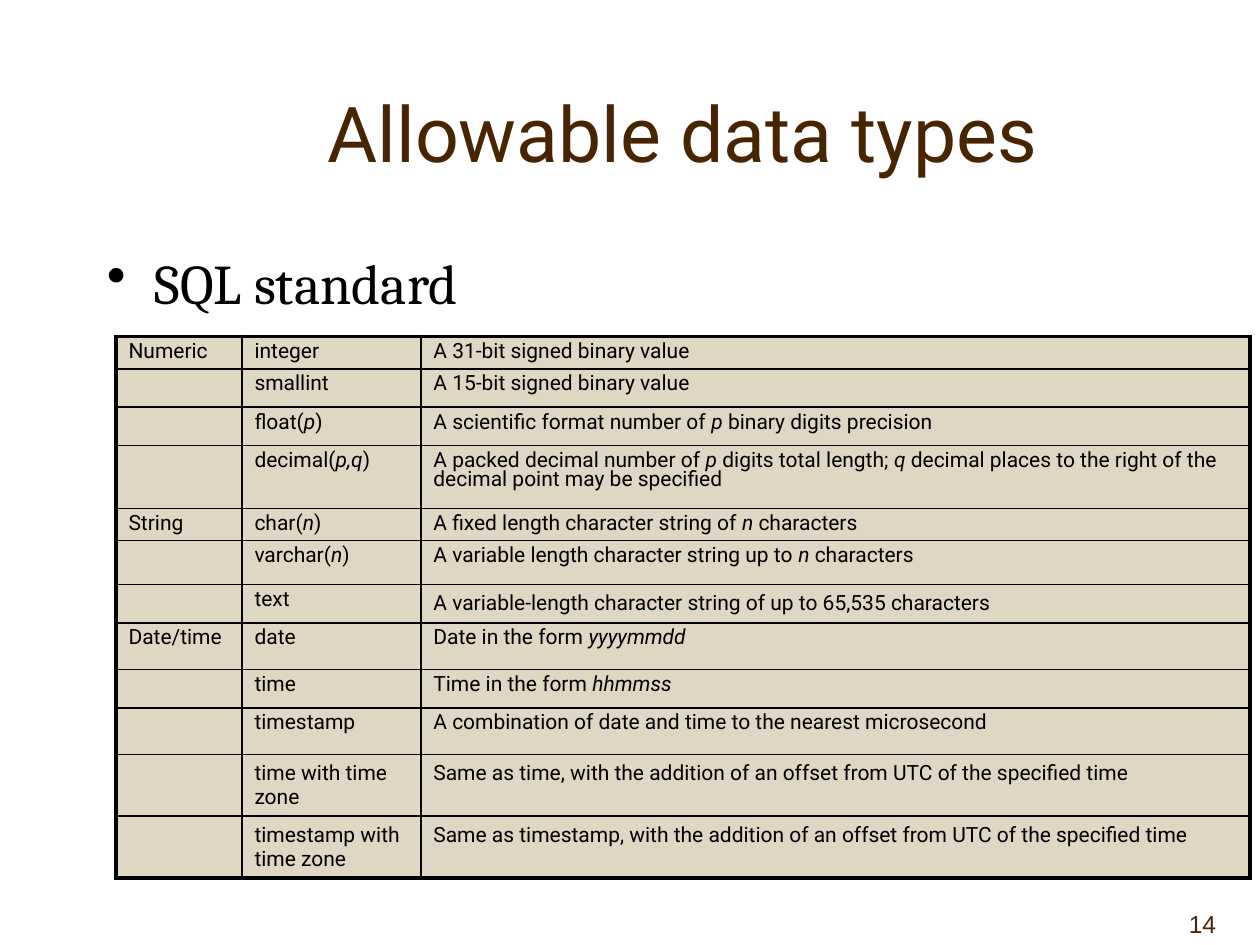
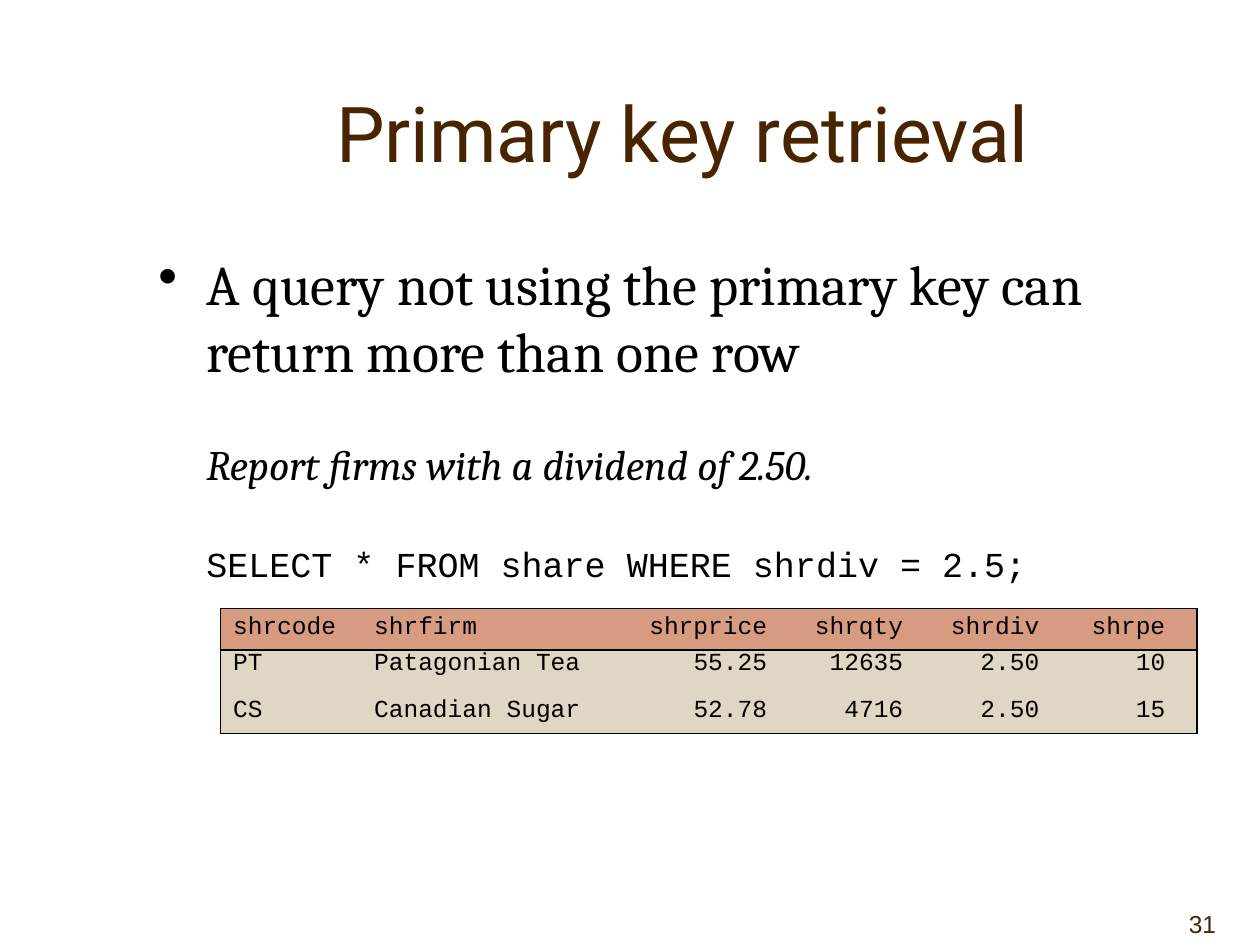
import dataclasses

import lxml.etree
import pptx
import pptx.dml.color
import pptx.enum.text
import pptx.oxml.ns
import pptx.util

Inches = pptx.util.Inches
Pt = pptx.util.Pt
ALIGN = pptx.enum.text.PP_ALIGN
ANCHOR = pptx.enum.text.MSO_ANCHOR
qn = pptx.oxml.ns.qn


@dataclasses.dataclass(frozen=True)
class Theme:
    brown: str = "482400"
    black: str = "000000"
    sand: str = "DFD6C3"
    clay: str = "D69B80"
    heading_font: str = "Roboto"
    body_font: str = "Cambria"
    code_font: str = "Courier New"
    number_font: str = "Arial"
    title_size: int = 44
    body_size: int = 32
    question_size: int = 24
    code_size: int = 20
    small_size: int = 14
    type_size: int = 12
    thin: float = 1
    thick: float = 2.25


THEME = Theme()


def write(para, text, *, size, font, color=THEME.black, align=ALIGN.LEFT,
          line=None, before=None):
    """Fill a paragraph; parts between underscores are italic."""
    para.alignment = align
    if line is not None:
        para.line_spacing = line
    if before is not None:
        para.space_before = Pt(before)
    if not text:
        # An empty paragraph still needs its size, as it sets the row height
        end = lxml.etree.SubElement(para._p, qn("a:endParaRPr"))
        end.set("sz", str(size * 100))
    for index, part in enumerate(text.split("_")):
        if part:
            span = para.add_run()
            span.text = part
            span.font.size = Pt(size)
            span.font.name = font
            span.font.italic = index % 2 == 1
            span.font.color.rgb = pptx.dml.color.RGBColor.from_string(color)


def hang(para, bullet=None):
    """Indent a paragraph, with a hanging bullet if one is given."""
    properties = para._p.get_or_add_pPr()
    indent = Inches(0.38)
    properties.set("marL", str(indent))
    properties.set("indent", str(-indent if bullet else 0))
    if bullet:
        lxml.etree.SubElement(properties, qn("a:buChar")).set("char", bullet)


def set_borders(cell, widths):
    """Draw left, right, top and bottom lines; width 0 means no line."""
    properties = cell._tc.get_or_add_tcPr()
    for side, width in zip("LRTB", widths):
        line = lxml.etree.SubElement(properties, qn(f"a:ln{side}"))
        line.set("w", str(Pt(width)))
        if width:
            fill = lxml.etree.SubElement(line, qn("a:solidFill"))
            lxml.etree.SubElement(fill, qn("a:srgbClr")).set("val", THEME.black)
        else:
            lxml.etree.SubElement(line, qn("a:noFill"))


class SlideBuilder:
    def __init__(self, deck, theme):
        self.deck = deck
        self.theme = theme
        self.page = None

    def new_page(self, title, number):
        """Start a slide with its title and slide number."""
        theme = self.theme
        self.page = self.deck.slides.add_slide(self.deck.slide_layouts[5])
        heading = self.page.shapes.title
        heading.left, heading.top = Inches(1.17), Inches(0.42)
        heading.width, heading.height = Inches(8.5), Inches(1.25)
        frame = heading.text_frame
        frame.auto_size = pptx.enum.text.MSO_AUTO_SIZE.NONE
        frame.vertical_anchor = ANCHOR.MIDDLE
        write(frame.paragraphs[0], title, size=theme.title_size,
              font=theme.heading_font, color=theme.brown, align=ALIGN.CENTER)

        frame = self.text_box(8.5, 7, 1.25, 0.5)
        frame.word_wrap = False
        frame.vertical_anchor = ANCHOR.BOTTOM
        write(frame.paragraphs[0], number, size=theme.small_size,
              font=theme.number_font, color=theme.brown, align=ALIGN.RIGHT)

    def text_box(self, left, top, width, height):
        box = self.page.shapes.add_textbox(
            Inches(left), Inches(top), Inches(width), Inches(height))
        frame = box.text_frame
        frame.word_wrap = True
        frame.auto_size = pptx.enum.text.MSO_AUTO_SIZE.NONE
        return frame

    def body(self, left, top, bullet_text):
        """Add the body with one bullet and return its text frame."""
        frame = self.text_box(left, top, 8.5, 4.33)
        para = frame.paragraphs[0]
        hang(para, "•")
        write(para, bullet_text, size=self.theme.body_size,
              font=self.theme.body_font, before=6.4)
        return frame

    def body_line(self, frame, text, **style):
        """Add an indented line, set well apart from the one above."""
        para = frame.add_paragraph()
        hang(para)
        write(para, text, before=31, **style)

    def table(self, left, top, height, widths, heights, rows, format_cell):
        """Add a table; format_cell(cell, row, column, text) styles each cell."""
        shape = self.page.shapes.add_table(
            len(rows), len(widths), Inches(left), Inches(top),
            Inches(sum(widths)), Inches(height))
        table = shape.table
        table.first_row = table.horz_banding = False
        for column, width in zip(table.columns, widths):
            column.width = Inches(width)
        for row, row_height in zip(table.rows, heights):
            row.height = Inches(row_height)
        shape.height = Inches(height)
        for r, texts in enumerate(rows):
            for c, text in enumerate(texts):
                format_cell(table.cell(r, c), r, c, text)


def fill_cell(cell, color):
    cell.fill.solid()
    cell.fill.fore_color.rgb = pptx.dml.color.RGBColor.from_string(color)


# Data types: group, type, meaning
DATA_TYPES = [
    ("Numeric", "integer", "A 31-bit signed binary value"),
    ("", "smallint", "A 15-bit signed binary value"),
    ("", "float(_p_)",
     "A scientific format number of _p_ binary digits precision"),
    ("", "decimal(_p,q_)",
     "A packed decimal number of _p_ digits total length; _q_ decimal places "
     "to the right of the decimal point may be specified"),
    ("String", "char(_n_)", "A fixed length character string of _n_ characters"),
    ("", "varchar(_n_)",
     "A variable length character string up to _n_ characters"),
    ("", "text", "A variable-length character string of up to 65,535 characters"),
    ("Date/time", "date", "Date in the form _yyyymmdd_"),
    ("", "time", "Time in the form _hhmmss_"),
    ("", "timestamp",
     "A combination of date and time to the nearest microsecond"),
    ("", "time with time zone",
     "Same as time, with the addition of an offset from UTC of the specified time"),
    ("", "timestamp with time zone",
     "Same as timestamp, with the addition of an offset from UTC of the "
     "specified time"),
]
TYPE_HEIGHTS = [0.23, 0.27, 0.27, 0.5, 0.23, 0.35,
                0.27, 0.37, 0.27, 0.37, 0.23, 0.27]

# Shares found by the query
SHARES = [
    ("shrcode", "shrfirm", "shrprice", "shrqty", "shrdiv", "shrpe"),
    ("PT", "Patagonian Tea", "55.25", "12635", "2.50", "10"),
    ("CS", "Canadian Sugar", "52.78", "4716", "2.50", "15"),
]


def format_type_cell(cell, row, column, text):
    """Full grid with a thick frame."""
    edges = (column == 0, column == 2, row == 0, row == len(DATA_TYPES) - 1)
    set_borders(cell, [THEME.thick if edge else THEME.thin for edge in edges])
    fill_cell(cell, THEME.sand)
    loose = not text or row >= 10 or (row, column) == (6, 2)
    write(cell.text_frame.paragraphs[0], text, size=THEME.type_size,
          font=THEME.heading_font, line=None if loose else 0.8,
          before=2.4 if loose else 9 if row == 0 else 5)


def format_share_cell(cell, row, column, text):
    """Thin frame, and a line under the header row."""
    edges = (column == 0, column == 5, row < 2, row != 1)
    set_borders(cell, [THEME.thin if edge else 0 for edge in edges])
    fill_cell(cell, THEME.clay if row == 0 else THEME.sand)
    is_number = column >= 2
    if is_number:
        cell.margin_right = Inches(0.25)
    write(cell.text_frame.paragraphs[0], text, size=THEME.small_size,
          font=THEME.code_font, line=0.64 if row == 1 else 0.88, before=2.8,
          align=ALIGN.RIGHT if is_number else ALIGN.LEFT)


deck = pptx.Presentation()
deck.slide_width, deck.slide_height = Inches(10), Inches(7.5)
builder = SlideBuilder(deck, THEME)

# Slide: allowable data types
builder.new_page("Allowable data types", "14")
builder.body(0.75, 1.92, "SQL standard")
builder.table(0.92, 2.67, 4.3, [1, 1.42, 6.58], TYPE_HEIGHTS,
              DATA_TYPES, format_type_cell)

# Slide: primary key retrieval
builder.new_page("Primary key retrieval", "31")
body = builder.body(
    1.16, 1.93, "A query not using the primary key can return more than one row")
builder.body_line(body, "_Report firms with a dividend of 2.50._",
                  size=THEME.question_size, font=THEME.body_font)
builder.body_line(body, "SELECT * FROM share WHERE shrdiv = 2.5;",
                  size=THEME.code_size, font=THEME.code_font)
builder.table(1.75, 4.83, 1, [1.12, 2.05, 1.42, 1.08, 1.08, 1],
              [0.33] * len(SHARES), SHARES, format_share_cell)

deck.save("out.pptx")
